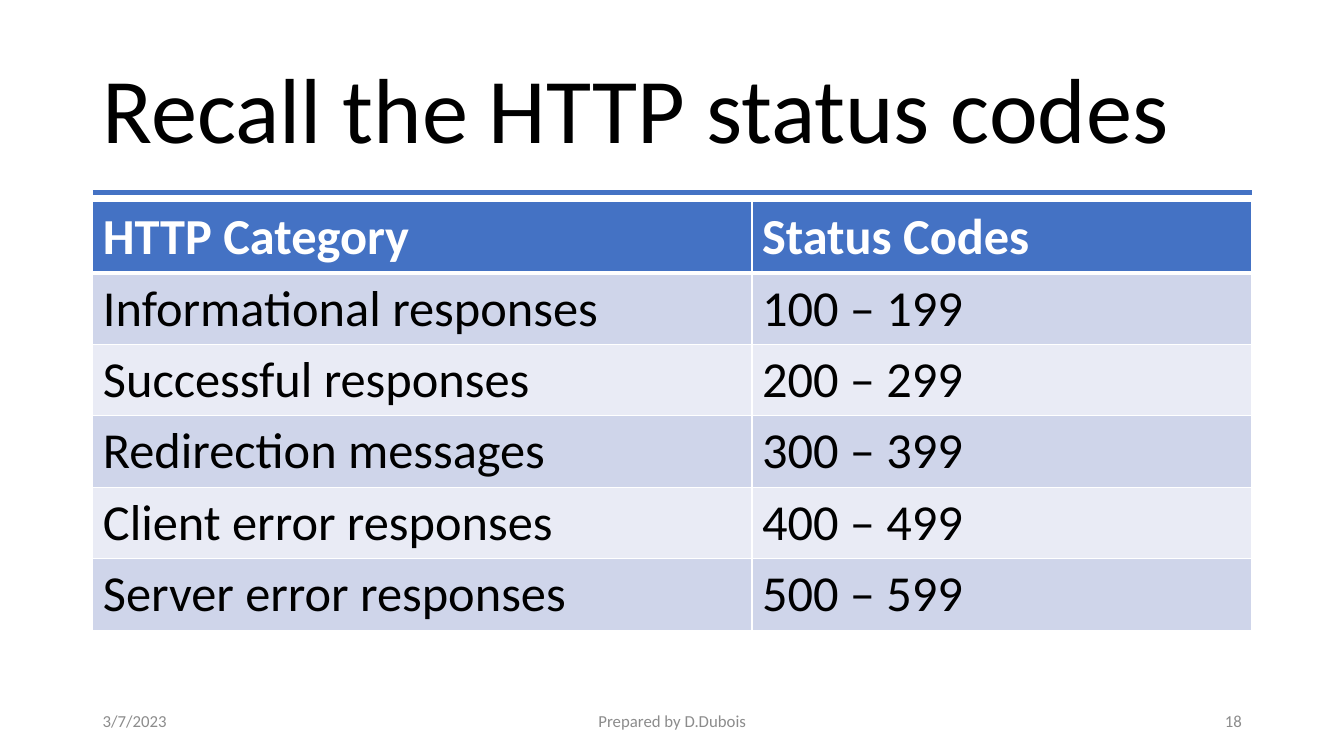
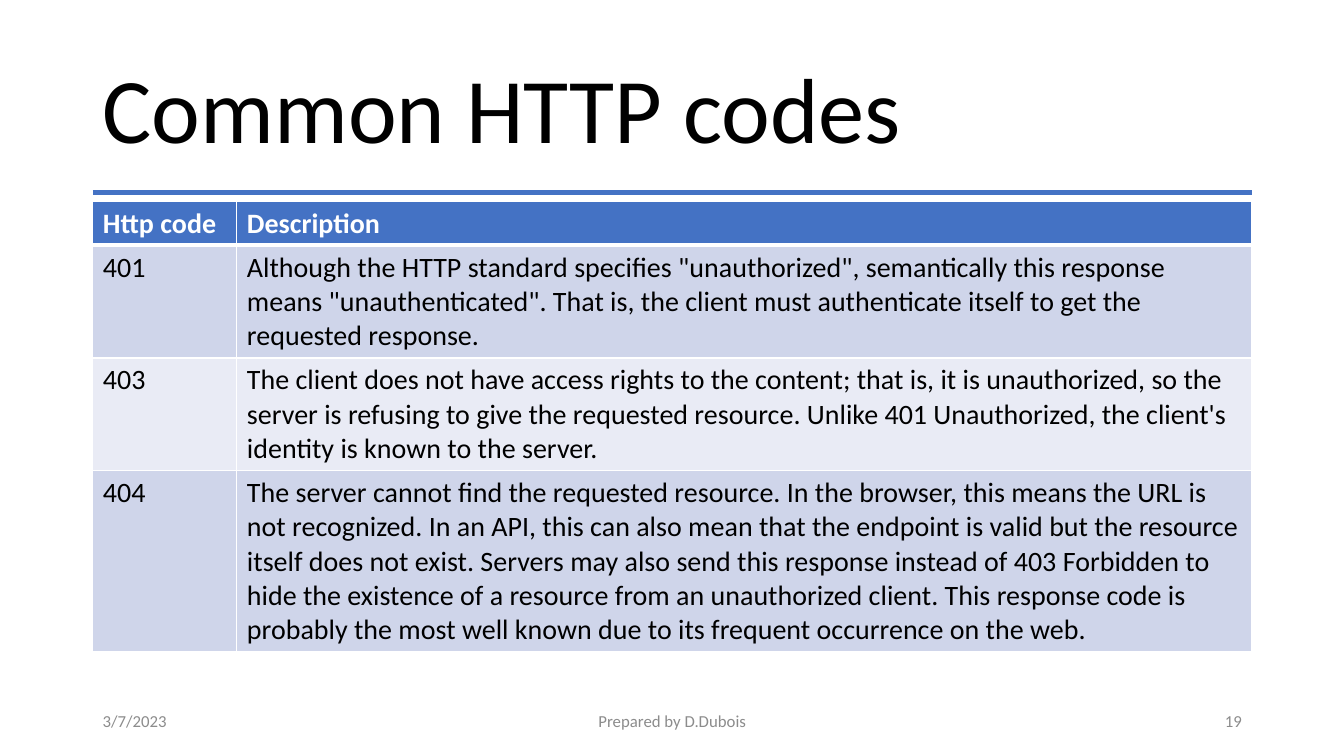
from lxml import etree
from pptx import Presentation
from pptx import util as u
from pptx.dml.color import RGBColor
from pptx.enum import shapes, text
from pptx.oxml import ns

BLUE = RGBColor(0x44, 0x72, 0xC4)
BAND_DARK = RGBColor(0xCF, 0xD5, 0xEA)
BAND_LIGHT = RGBColor(0xE9, 0xEB, 0xF5)
WHITE = RGBColor(0xFF, 0xFF, 0xFF)
BLACK = RGBColor(0, 0, 0)
GRAY = RGBColor(0x8C, 0x8C, 0x8C)

FONT = "Calibri"
LEFT, WIDTH = 2.34, 29.21
RIGHT = LEFT + WIDTH
ALIGN = text.PP_ALIGN


class Deck:
    def __init__(self):
        self.prs = Presentation()
        self.prs.slide_width = u.Cm(33.87)
        self.prs.slide_height = u.Cm(19.05)
        self.slide = None

    def new_slide(self, title, number):
        self.slide = self.prs.slides.add_slide(self.prs.slide_layouts[6])
        self.rule(4.85)
        self.label(title, LEFT, 1.02, WIDTH, 3.68, 66, BLACK, spacing=0.9)
        date_width, author_width = 7.62, 11.43
        footers = (
            ("3/7/2023", LEFT, date_width, ALIGN.LEFT),
            ("Prepared by D.Dubois", LEFT + (WIDTH - author_width) / 2, author_width, ALIGN.CENTER),
            (str(number), RIGHT - date_width, date_width, ALIGN.RIGHT),
        )
        for wording, left, width, align in footers:
            self.label(wording, left, 17.65, width, 1.02, 12, GRAY, align)

    def rule(self, top):
        rule = self.slide.shapes.add_connector(
            shapes.MSO_CONNECTOR.STRAIGHT, u.Cm(LEFT), u.Cm(top), u.Cm(RIGHT), u.Cm(top))
        rule.line.color.rgb = BLUE
        rule.line.width = u.Pt(3)
        etree.SubElement(rule._element.spPr, ns.qn("a:effectLst"))

    def label(self, wording, left, top, width, height, size, color, align=ALIGN.LEFT, spacing=1.0):
        box = self.slide.shapes.add_textbox(u.Cm(left), u.Cm(top), u.Cm(width), u.Cm(height))
        frame = box.text_frame
        frame.word_wrap = True
        frame.vertical_anchor = text.MSO_ANCHOR.MIDDLE
        frame.text = wording
        frame.paragraphs[0].alignment = align
        frame.paragraphs[0].line_spacing = spacing
        self.style(frame, size, color)

    def style(self, frame, size, color, bold=False):
        for paragraph in frame.paragraphs:
            for run in paragraph.runs:
                run.font.name = FONT
                run.font.size = u.Pt(size)
                run.font.bold = bold
                run.font.color.rgb = color

    def border(self, cell, side, points):
        line = etree.SubElement(cell._tc.get_or_add_tcPr(), ns.qn(f"a:ln{side}"), w=str(u.Pt(points)))
        fill = etree.SubElement(line, ns.qn("a:solidFill"))
        etree.SubElement(fill, ns.qn("a:srgbClr"), val=str(WHITE))

    def table(self, rows, first_width, heights, size):
        widths = (first_width, WIDTH - first_width)
        table = self.slide.shapes.add_table(
            len(rows), len(widths), u.Cm(LEFT), u.Cm(5.08), u.Cm(WIDTH), u.Cm(sum(heights))).table
        for column, width in zip(table.columns, widths):
            column.width = u.Cm(width)
        for r, (row, height) in enumerate(zip(rows, heights)):
            table.rows[r].height = u.Cm(height)
            header = r == 0
            band = BLUE if header else BAND_DARK if r % 2 else BAND_LIGHT
            for c, wording in enumerate(row):
                cell = table.cell(r, c)
                self.border(cell, "L", 1)
                self.border(cell, "R", 1)
                self.border(cell, "T", 3 if r == 1 else 1)
                self.border(cell, "B", 3 if header else 1)
                cell.fill.solid()
                cell.fill.fore_color.rgb = band
                cell.text_frame.text = wording
                self.style(cell.text_frame, size, WHITE if header else BLACK, header)


CATEGORIES = (
    ("HTTP Category", "Status Codes"),
    ("Informational responses", "100 – 199"),
    ("Successful responses", "200 – 299"),
    ("Redirection messages", "300 – 399"),
    ("Client error responses", "400 – 499"),
    ("Server error responses", "500 – 599"),
)

COMMON_CODES = (
    ("Http code", "Description"),
    ("401", 'Although the HTTP standard specifies "unauthorized", semantically this response '
            'means "unauthenticated". That is, the client must authenticate itself to get the '
            'requested response.'),
    ("403", "The client does not have access rights to the content; that is, it is unauthorized, "
            "so the server is refusing to give the requested resource. Unlike 401 Unauthorized, "
            "the client's identity is known to the server."),
    ("404", "The server cannot find the requested resource. In the browser, this means the URL is "
            "not recognized. In an API, this can also mean that the endpoint is valid but the "
            "resource itself does not exist. Servers may also send this response instead of 403 "
            "Forbidden to hide the existence of a resource from an unauthorized client. This "
            "response code is probably the most well known due to its frequent occurrence on the "
            "web."),
)


def main():
    deck = Deck()
    deck.new_slide("Recall the HTTP status codes", 18)
    deck.table(CATEGORIES, 16.61, [1.8] * len(CATEGORIES), 36)
    deck.new_slide("Common HTTP codes", 19)
    deck.table(COMMON_CODES, 3.63, [1.1, 2.84, 2.84, 4.56], 20)
    deck.prs.save("out.pptx")


if __name__ == "__main__":
    main()
